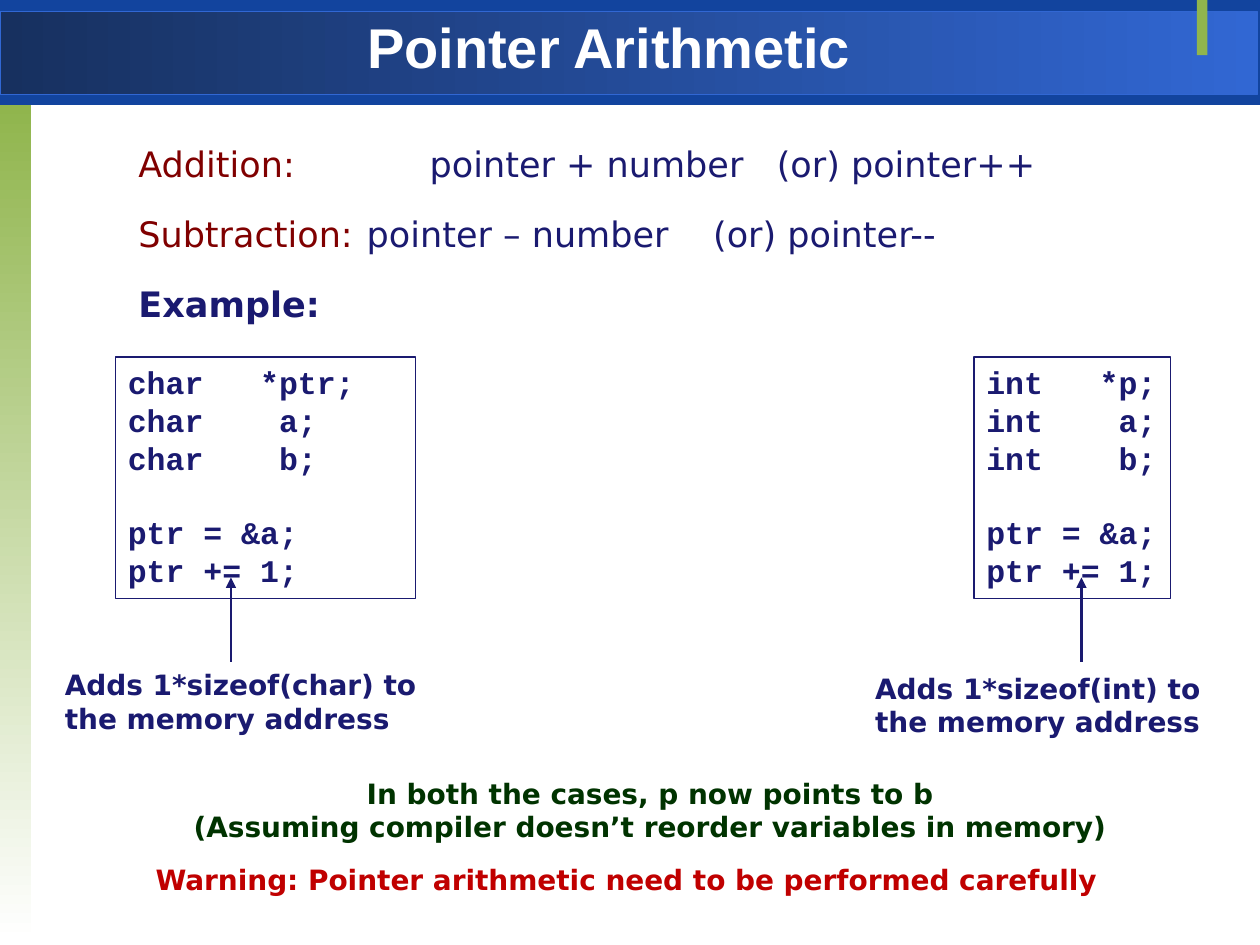
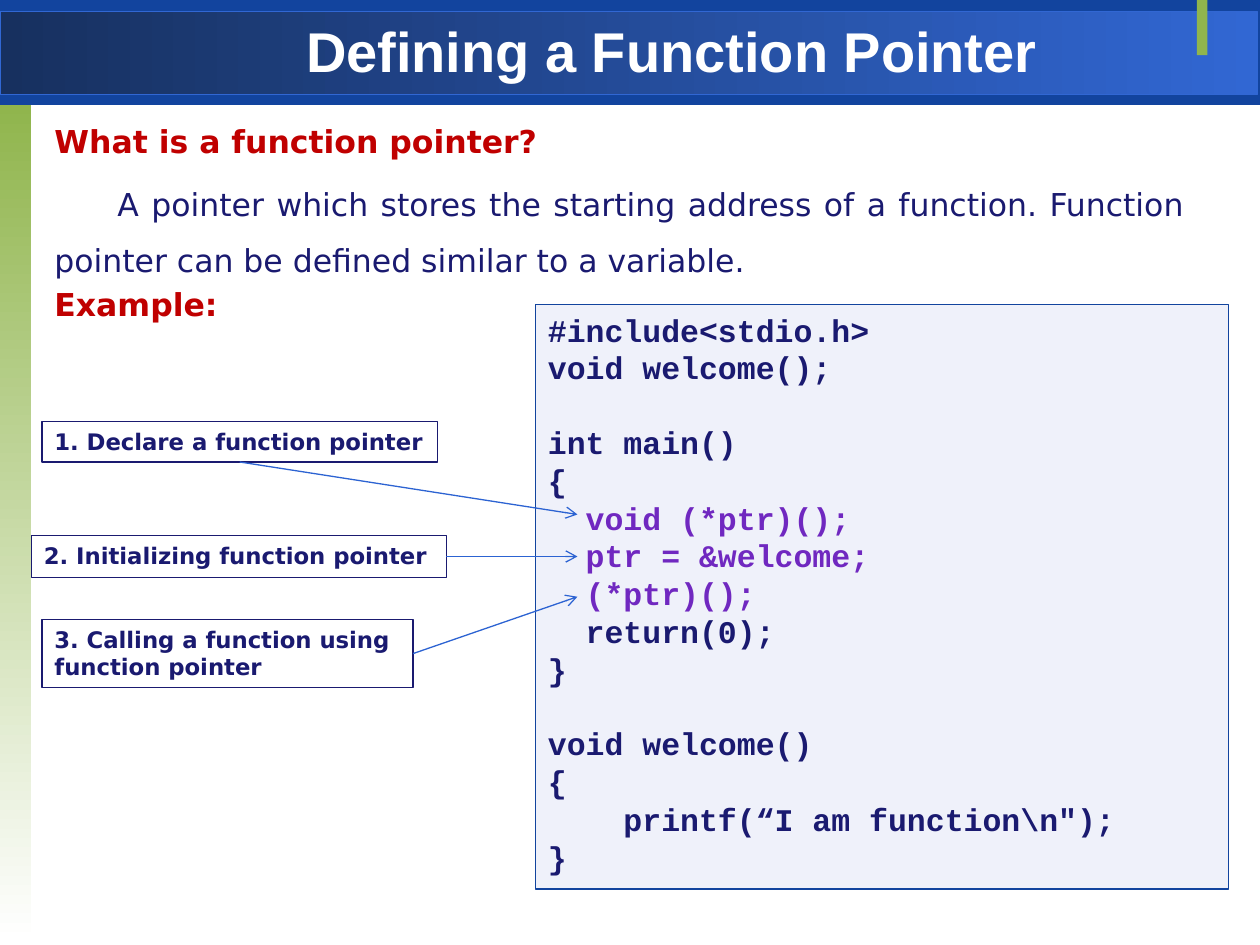
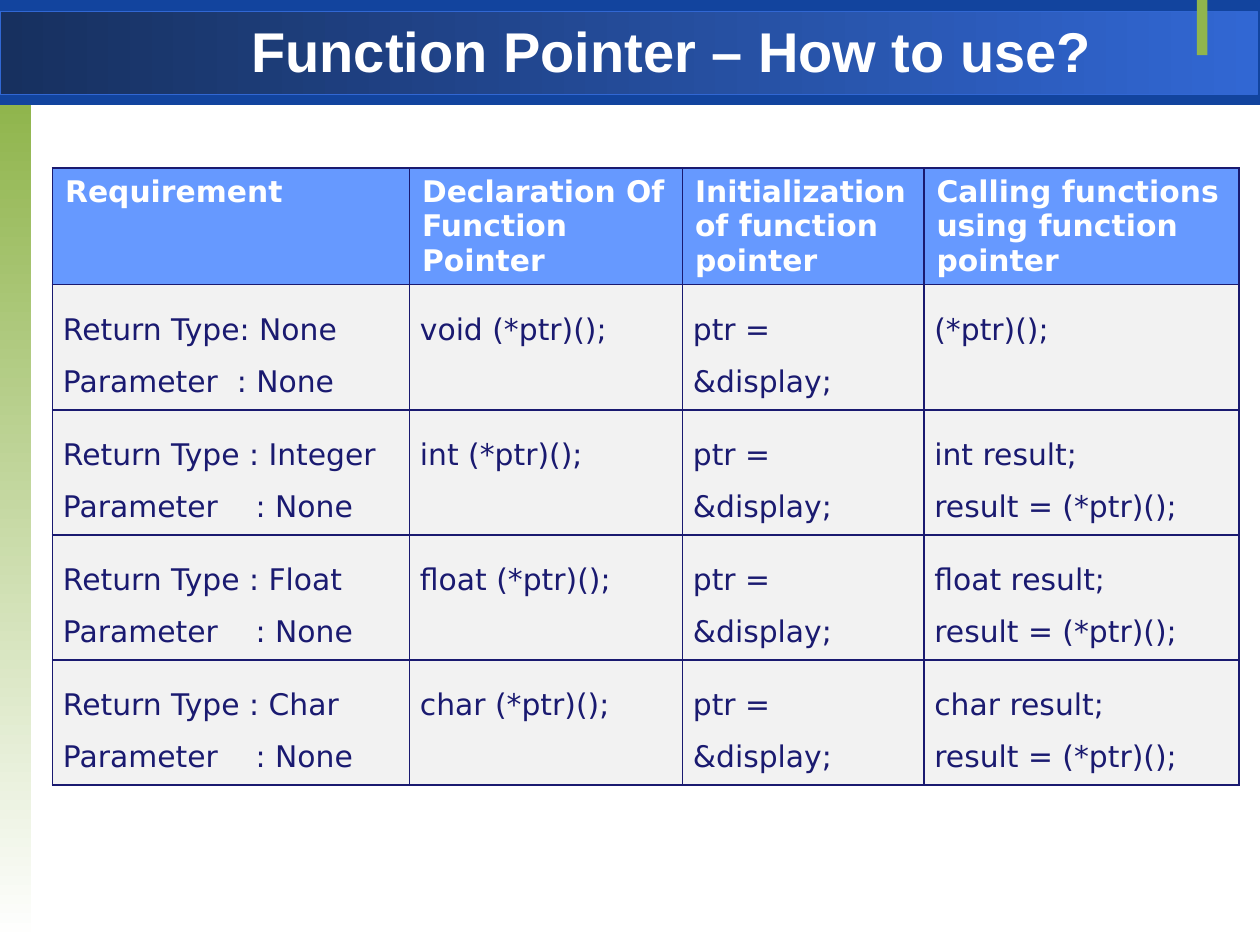
from lxml import etree
from pptx import Presentation
from pptx.dml.color import RGBColor
from pptx.enum.shapes import MSO_CONNECTOR, MSO_SHAPE
from pptx.enum.text import MSO_ANCHOR, PP_ALIGN
from pptx.oxml.ns import qn
from pptx.util import Pt

RECT = MSO_SHAPE.RECTANGLE
STRAIGHT = MSO_CONNECTOR.STRAIGHT
TOP = MSO_ANCHOR.TOP
LEFT, CENTER, JUSTIFY = PP_ALIGN.LEFT, PP_ALIGN.CENTER, PP_ALIGN.JUSTIFY

SANS, MONO, HEAD = "DejaVu Sans", "Courier New", "Arial"
NAVY, BLUE, SKY, ROYAL = "1A1A70", "12449E", "3167D3", "2C63D2"
GREEN, RED, MAROON, FOREST = "90B54D", "C00000", "800000", "003300"
PURPLE, WHITE, PALE, GRAY, HEADER = "7028C0", "FFFFFF", "EFF1FA", "F2F2F2", "6699FF"
BLANK = 21  # height of an empty code line


def rgb(code):
    return RGBColor.from_string(code)


def paint(fill, code):
    fill.solid()
    fill.fore_color.rgb = rgb(code)


def put(frame, runs, size, font=SANS, align=LEFT, before=0, pitch=1.0):
    """Add one paragraph; each run is (text, colour, bold)."""
    para = frame.add_paragraph() if frame.text else frame.paragraphs[0]
    para.alignment = align
    para.space_before = Pt(before)
    para.line_spacing = pitch
    for text, hue, bold in runs:
        run = para.add_run()
        run.text = text
        run.font.name = font
        run.font.size = Pt(size)
        run.font.bold = bold
        run.font.color.rgb = rgb(hue)
    return para


def block(slide, x, y, w, h, fill=None, line=None):
    shape = slide.shapes.add_shape(RECT, Pt(x), Pt(y), Pt(w), Pt(h))
    shape.shadow.inherit = False
    if fill:
        paint(shape.fill, fill)
    else:
        shape.fill.background()
    if line:
        shape.line.color.rgb = rgb(line)
        shape.line.width = Pt(0.75)
    else:
        shape.line.fill.background()
    shape.text_frame.word_wrap = True
    shape.text_frame.vertical_anchor = TOP
    return shape


def fade(shape, start, end, angle):
    shape.fill.gradient()
    shape.fill.gradient_angle = angle
    for stop, hue in zip(shape.fill.gradient_stops, (start, end)):
        stop.color.rgb = rgb(hue)


def area(slide, x, y, w, h):
    """Add a wrapping text box and return its text frame."""
    frame = slide.shapes.add_textbox(Pt(x), Pt(y), Pt(w), Pt(h)).text_frame
    frame.word_wrap = True
    return frame


def label(slide, x, y, w, h, lines, hue=NAVY, align=LEFT):
    frame = area(slide, x, y, w, h)
    for text in lines:
        put(frame, [(text, hue, True)], 16, align=align)


def code(slide, x, y, w, h, source, fill=None, line=NAVY, marked=()):
    """Add a listing; lines whose numbers are in marked are purple."""
    frame = block(slide, x, y, w, h, fill, line).text_frame
    gap = 0
    for i, text in enumerate(source.split("\n")):
        if not text:
            gap = BLANK
            continue
        hue = PURPLE if i in marked else NAVY
        put(frame, [(text, hue, True)], 18, MONO, before=gap)
        gap = 0


def arrow(slide, start, end, hue, width, head):
    points = [Pt(v) for v in (*start, *end)]
    link = slide.shapes.add_connector(STRAIGHT, *points)
    link.line.color.rgb = rgb(hue)
    link.line.width = Pt(width)
    props = link.element.spPr
    etree.SubElement(props.find(qn("a:ln")), qn("a:tailEnd"), type=head)
    etree.SubElement(props, qn("a:effectLst"))
    return link


def dress(slide):
    """Draw the bands and move them to the layout that all slides share."""
    top = block(slide, 0, 0, 720, 60, BLUE)
    band = block(slide, 0, 6.5, 718.5, 47.5, SKY, SKY)
    fade(band, "17305F", SKY, 0)
    side = block(slide, 0, 60, 18, 478, GREEN)
    fade(side, GREEN, WHITE, 270)
    mark = block(slide, 684, 0, 6, 31.5, GREEN)
    tree = slide.slide_layout.shapes.element
    for i, shape in enumerate((top, band, side, mark)):
        tree.insert(2 + i, shape.element)


def page(deck, title, x=114, y=6):
    slide = deck.slides.add_slide(deck.slide_layouts[5])
    head = slide.shapes.title
    head.left, head.top, head.width, head.height = Pt(x), Pt(y), Pt(540), Pt(42)
    head.text_frame.vertical_anchor = TOP
    put(head.text_frame, [(title, WHITE, True)], 32, HEAD, CENTER)
    return slide


def edge(cell, hue):
    props = cell._tc.get_or_add_tcPr()
    for side in ("lnL", "lnR", "lnT", "lnB"):
        line = etree.SubElement(props, qn("a:" + side), w=str(Pt(1)))
        fill = etree.SubElement(line, qn("a:solidFill"))
        etree.SubElement(fill, qn("a:srgbClr"), val=hue)


def grid(slide, x, y, cols, rows, data):
    frame = slide.shapes.add_table(
        len(rows), len(cols), Pt(x), Pt(y), Pt(sum(cols)), Pt(sum(rows)))
    table = frame.table
    table.horz_banding = False
    for col, width in zip(table.columns, cols):
        col.width = Pt(width)
    for r, height in enumerate(rows):
        table.rows[r].height = Pt(height)
        for c, text in enumerate(data[r]):
            cell = table.cell(r, c)
            edge(cell, NAVY)
            paint(cell.fill, GRAY if r else HEADER)
            if r:
                cell.margin_left = cell.margin_right = Pt(6)
                cell.margin_top = cell.margin_bottom = Pt(6)
            for line in text.split("\n"):
                put(cell.text_frame, [(line, NAVY if r else WHITE, r == 0)],
                    17, pitch=1.5 if r else 1.0)


def maths(slide):
    frame = area(slide, 36, 66, 648, 123)
    for runs in (
        [("Addition: \t\t", MAROON, False),
         ("pointer + number   (or) pointer++", NAVY, False)],
        [("Subtraction: \t", MAROON, False),
         ("pointer – number    (or) pointer--", NAVY, False)],
        [("Example:", NAVY, True)],
    ):
        props = put(frame, runs, 20, before=4, pitch=1.5)._p.get_or_add_pPr()
        props.set("marL", str(Pt(58.5)))
        props.set("indent", str(Pt(-22.5)))

    ending = "\n\nptr = &a;\nptr += 1;"
    code(slide, 66, 204, 171.5, 138,
         "char   *ptr;\nchar    a;\nchar    b;" + ending)
    code(slide, 556.5, 204, 112.5, 138,
         "int   *p;\nint    a;\nint    b;" + ending)
    label(slide, 30, 440, 683, 46,
          ["In both the cases, p now points to b",
           "(Assuming compiler doesn’t reorder variables in memory)"],
          FOREST, CENTER)
    label(slide, 30, 378, 227.5, 46, ["Adds 1*sizeof(char) to the memory address"])
    label(slide, 493, 380, 220.5, 46, ["Adds 1*sizeof(int) to the memory address"])
    label(slide, 79, 489.5, 558, 27,
          ["Warning: Pointer arithmetic need to be performed carefully"], RED, CENTER)
    for x in (132, 618):
        arrow(slide, (x, 378), (x, 330), NAVY, 1.25, "triangle")


def define(slide):
    frame = area(slide, 24, 66, 660, 96)
    for text, hue, bold, pitch in (
        ("What is a function pointer?", RED, True, 1.0),
        ("\tA pointer which stores the starting address of a function. "
         "Function pointer can be defined similar to a variable.", NAVY, False, 1.5),
        ("Example:", RED, True, 1.0),
    ):
        put(frame, [(text, hue, bold)], 18, align=JUSTIFY, before=3.6, pitch=pitch)

    code(slide, 306, 174, 396, 334, """#include<stdio.h>
void welcome();

int main()
{
  void (*ptr)();
  ptr = &welcome;
  (*ptr)();
  return(0);
}

void welcome()
{
    printf(“I am function\\n");
}""", PALE, BLUE, marked=(5, 6, 7))

    for x, y, w, h, lines, site, tip in (
        (24, 241, 226, 23, ["1. Declare a function pointer"], 2, 294),
        (18, 306, 237, 24, ["2. Initializing function pointer"], 3, 318),
        (24, 354, 212, 39,
         ["3. Calling a function using", "function pointer"], 3, 341),
    ):
        step = block(slide, x, y, w, h, line=NAVY)
        for text in lines:
            put(step.text_frame, [(text, NAVY, True)], 13)
        link = arrow(slide, (x + w, y), (330, tip), ROYAL, 0.75, "arrow")
        link.begin_connect(step, site)


def usage(slide):
    data = [("Requirement", "Declaration Of Function Pointer",
             "Initialization of function pointer",
             "Calling functions using function pointer"),
            ("Return Type: None Parameter  : None", "void (*ptr)();",
             "ptr = &display;", "(*ptr)();")]
    for kind in ("int", "float", "char"):
        name = "Integer" if kind == "int" else kind.title()
        data.append((f"Return Type : {name} Parameter    : None",
                     f"{kind} (*ptr)();", "ptr = &display;",
                     f"{kind} result;\nresult = (*ptr)();"))
    grid(slide, 30, 96, (204, 156, 138, 180), [66.5] + [71.5] * 4, data)


def main():
    deck = Presentation()
    deck.slide_width, deck.slide_height = Pt(720), Pt(540)
    first = page(deck, "Pointer Arithmetic", 78, 3.5)
    dress(first)
    maths(first)
    define(page(deck, "Defining a Function Pointer"))
    usage(page(deck, "Function Pointer – How to use?"))
    deck.save("out.pptx")


if __name__ == "__main__":
    main()
